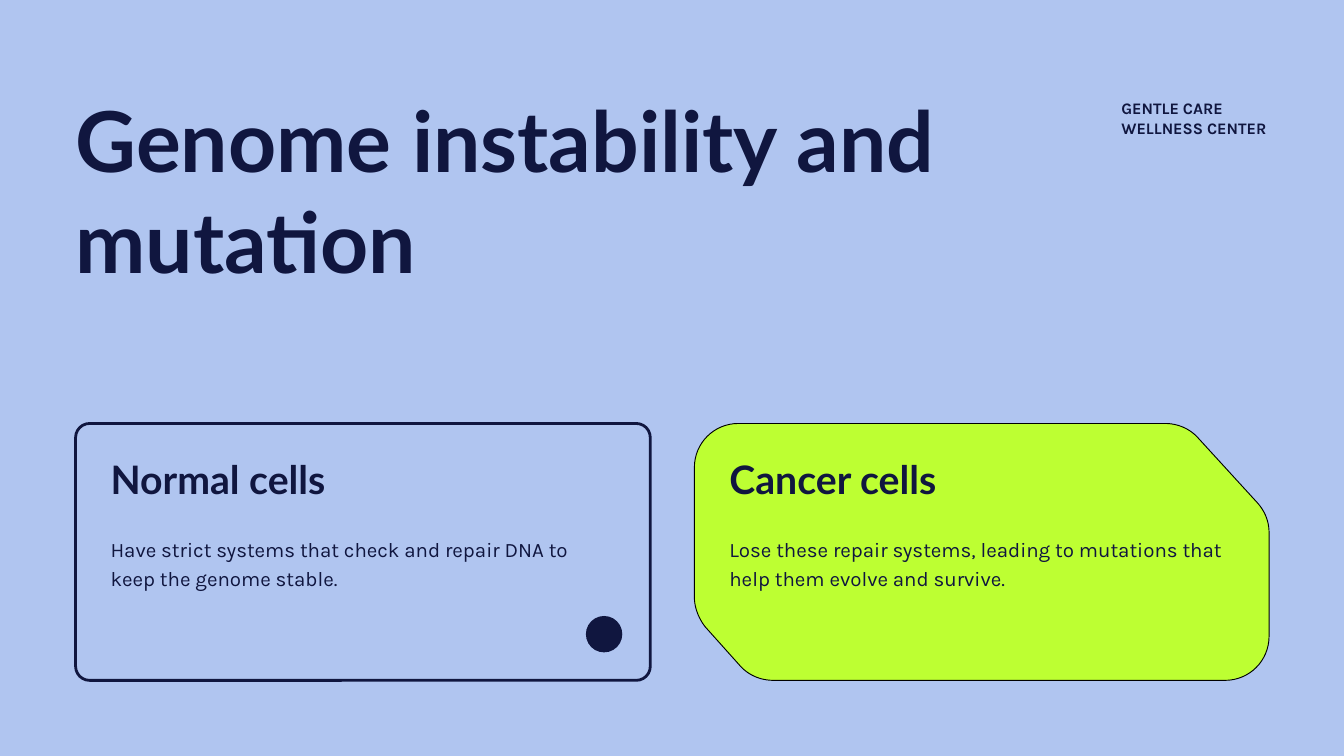
import dataclasses

import pptx
import pptx.dml.color
import pptx.enum.shapes
import pptx.enum.text
import pptx.util

SCALE = 9525
SHAPE = pptx.enum.shapes.MSO_SHAPE


@dataclasses.dataclass(frozen=True)
class Theme:
    back: str = "B0C5F0"
    ink: str = "10163F"
    lime: str = "BDFF32"
    edge: str = "000000"
    head: str = "Lato"
    body: str = "Karla"
    title: float = 90
    label: float = 42
    note: float = 22
    brand: float = 17.2


THEME = Theme()
CARD_TOP, CARD_WIDE, CARD_HIGH = 605, 821, 367
LEFT, RIGHT = 108, 992
CORNERS = [
    [(63, 0), (28, 0), (0, 28), (0, 63)],
    [(0, 248), (0, 263), (6, 278), (15, 290)],
    [(66, 347), (78, 360), (95, 367), (113, 367)],
    [(758, 367), (793, 367), (821, 339), (821, 304)],
    [(821, 156), (821, 140), (815, 125), (804, 113)],
    [(719, 20), (707, 7), (690, 0), (672, 0)],
]


def px(*sizes):
    return [round(size * SCALE) for size in sizes]


def tint(code):
    return pptx.dml.color.RGBColor.from_string(code)


def paint(shape, fill=None, line=None, width=0):
    shape.shadow.inherit = False
    if fill:
        shape.fill.solid()
        shape.fill.fore_color.rgb = tint(fill)
    else:
        shape.fill.background()
    if line:
        shape.line.color.rgb = tint(line)
        shape.line.width = pptx.util.Pt(width)
    else:
        shape.line.fill.background()


def add_text(slide, place, lines, font, size, bold=False, space=None):
    box = slide.shapes.add_textbox(*px(*place))
    frame = box.text_frame
    frame.word_wrap = True
    frame.auto_size = pptx.enum.text.MSO_AUTO_SIZE.SHAPE_TO_FIT_TEXT
    frame.margin_left = frame.margin_right = 0
    frame.margin_top = frame.margin_bottom = 0
    for row, line in enumerate(lines):
        para = frame.add_paragraph() if row else frame.paragraphs[0]
        if space:
            para.line_spacing = space
        run = para.add_run()
        run.text = line
        run.font.name = font
        run.font.size = pptx.util.Pt(size)
        run.font.bold = bold
        run.font.color.rgb = tint(THEME.ink)


def bend(points, steps=16):
    for step in range(steps + 1):
        t = step / steps
        parts = ((1 - t) ** 3, 3 * t * (1 - t) ** 2, 3 * t * t * (1 - t), t ** 3)
        yield tuple(sum(p * w for p, w in zip(axis, parts)) for axis in zip(*points))


def add_cut_card(slide, left):
    points = [
        px(left + x, CARD_TOP + y) for corner in CORNERS for x, y in bend(corner)
    ]
    pen = slide.shapes.build_freeform(*points[0])
    pen.add_line_segments(points[1:], close=True)
    paint(pen.convert_to_shape(), THEME.lime, THEME.edge, 1)


def add_round_card(slide, left):
    place = px(left, CARD_TOP, CARD_WIDE, CARD_HIGH)
    card = slide.shapes.add_shape(SHAPE.ROUNDED_RECTANGLE, *place)
    card.adjustments[0] = 20 / CARD_HIGH
    paint(card, line=THEME.ink, width=3)
    dot = slide.shapes.add_shape(SHAPE.OVAL, *px(left + 729, CARD_TOP + 275, 52, 52))
    paint(dot, THEME.ink)


def add_copy(slide, left, wide, label, note):
    x = left + 50
    add_text(slide, (x, CARD_TOP + 53, wide, 61), [label],
             THEME.head, THEME.label, True, 0.9)
    add_text(slide, (x, CARD_TOP + 155, 721, 78), [note],
             THEME.body, THEME.note, space=1.2)


def main():
    deck = pptx.Presentation()
    deck.slide_width, deck.slide_height = px(1920, 1080)
    slide = deck.slides.add_slide(deck.slide_layouts[6])
    slide.background.fill.solid()
    slide.background.fill.fore_color.rgb = tint(THEME.back)
    add_cut_card(slide, RIGHT)
    add_round_card(slide, LEFT)
    add_text(slide, (1602, 141, 209, 48), ["GENTLE CARE", "WELLNESS CENTER"],
             THEME.body, THEME.brand, True)
    add_text(slide, (LEFT, 127, 1236, 291), ["Genome instability and mutation"],
             THEME.head, THEME.title, True)
    add_copy(slide, RIGHT, 432, "Cancer cells",
             "Lose these repair systems, leading to mutations that "
             "help them evolve and survive.")
    add_copy(slide, LEFT, 497, "Normal cells",
             "Have strict systems that check and repair DNA to "
             "keep the genome stable.")
    deck.save("out.pptx")


if __name__ == "__main__":
    main()
